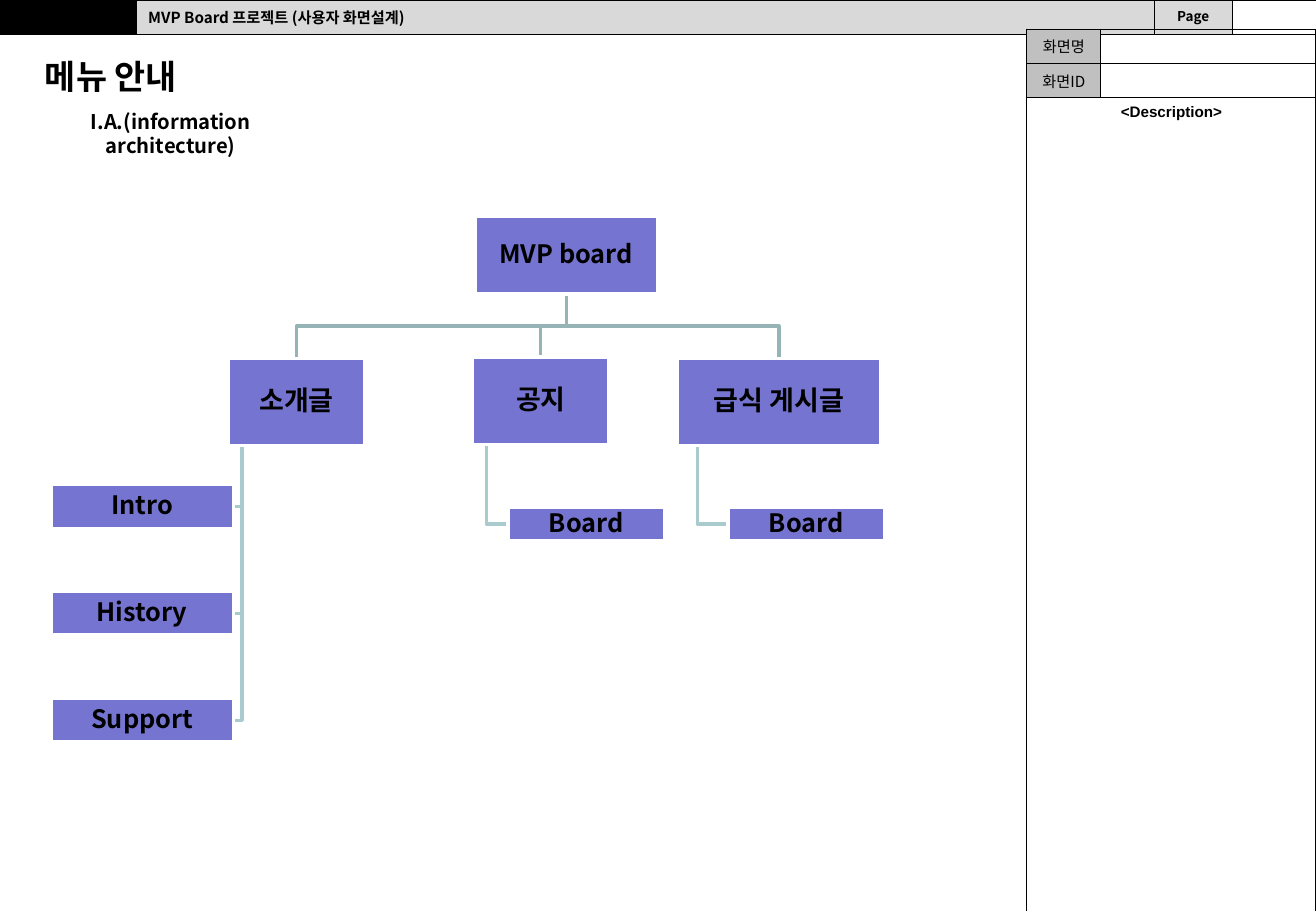
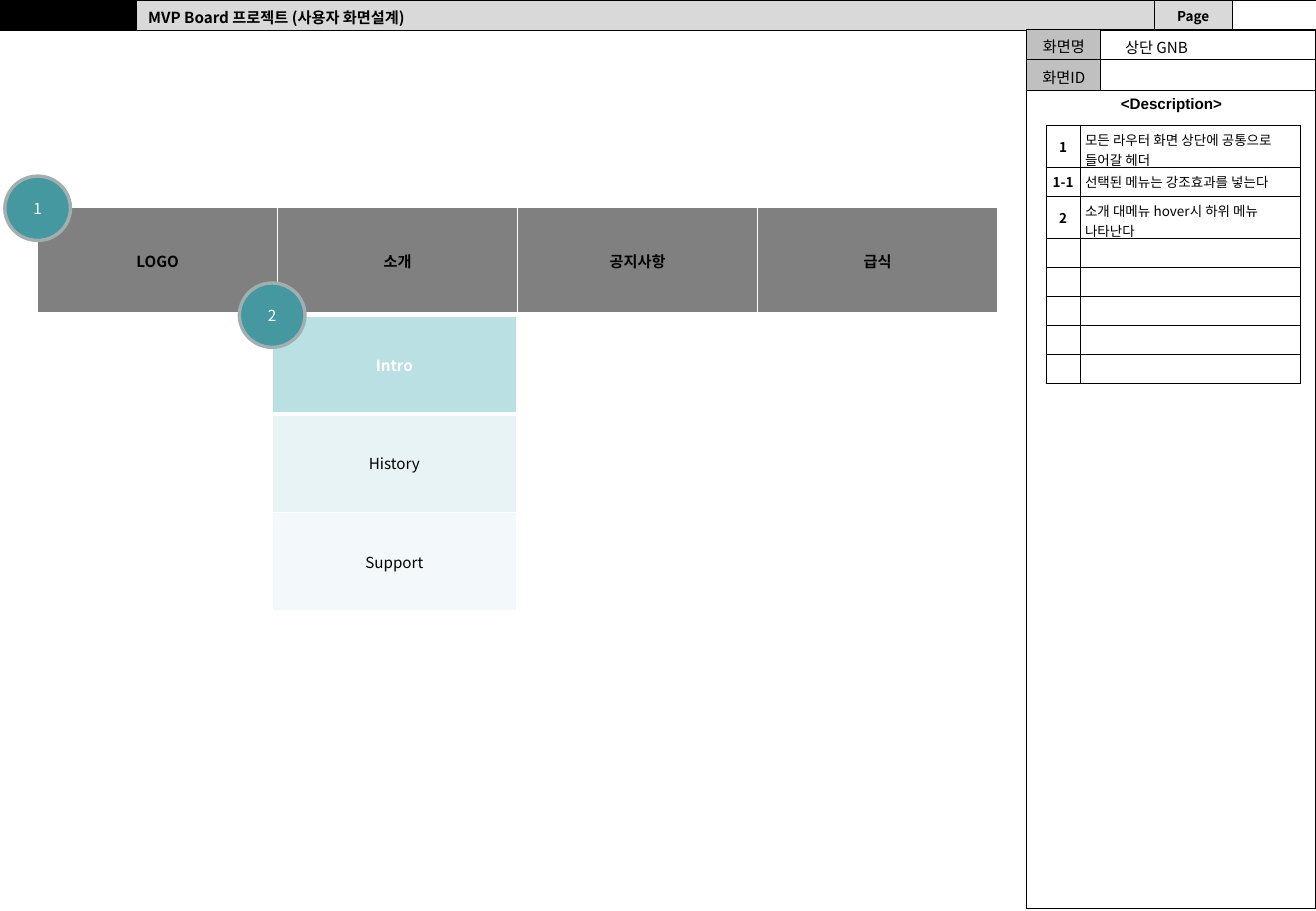
from dataclasses import dataclass

from pptx import Presentation
from pptx import util as u
from pptx.dml.color import RGBColor
from pptx.enum import shapes, text
from pptx.oxml import ns, xmlchemy

Inches, Pt = u.Inches, u.Pt
LEFT, CENTER = text.PP_ALIGN.LEFT, text.PP_ALIGN.CENTER
TOP, MIDDLE = text.MSO_ANCHOR.TOP, text.MSO_ANCHOR.MIDDLE
TITLE_ONLY, BLANK = 5, 6


@dataclass(frozen=True)
class Theme:
    """Colours, fonts and type sizes of the deck."""
    font: str = "Noto Sans CJK KR"
    label_font: str = "Arial"
    black: str = "000000"
    white: str = "FFFFFF"
    band: str = "D9D9D9"
    label: str = "C0C0C0"
    node: str = "7575D1"
    trunk: str = "96B3B6"
    branch: str = "AACBCE"
    nav: str = "808080"
    menu: tuple = ("BBE0E3", "E7F3F4", "F3F9FA")
    marker: str = "4597A0"
    marker_line: str = "A1AFB1"
    title: float = 20
    section: float = 16
    item: float = 15
    subtitle: float = 12
    body: float = 9
    small: float = 8


THEME = Theme()


def apply(target, values):
    """Set every attribute named in a dict of format values."""
    for name, value in values.items():
        setattr(target, name, value)


def add_xml(parent, tag, **attributes):
    """Append an XML child with the given attributes."""
    child = xmlchemy.OxmlElement(tag)
    for name, value in attributes.items():
        child.set(name, str(value))
    parent.append(child)
    return child


def write(frame, words, size=THEME.body, bold=False, color=THEME.black,
          align=LEFT, font=THEME.font, spacing=None):
    """Put one formatted paragraph into a text frame."""
    para = frame.paragraphs[0]
    apply(para, {"alignment": align, "line_spacing": spacing})
    if not words:
        add_xml(para._p, "a:endParaRPr", sz=int(size * 100))
        return
    span = para.add_run()
    span.text = words
    apply(span.font, {"size": Pt(size), "bold": bold, "name": font})
    span.font.color.rgb = RGBColor.from_string(color)
    add_xml(span._r.get_or_add_rPr(), "a:ea", typeface=font)


def place(shape, left, top, width, height):
    """Move and size a shape, in inches."""
    apply(shape, {"left": Inches(left), "top": Inches(top),
                  "width": Inches(width), "height": Inches(height)})


def add_text(page, bounds, words, wrap=True, **style):
    """Add a text box."""
    box = page.shapes.add_textbox(*map(Inches, bounds))
    box.text_frame.word_wrap = wrap
    write(box.text_frame, words, **style)


def add_title(page, bounds, words):
    """Move and format the title placeholder."""
    title = page.shapes.title
    place(title, *bounds)
    apply(title.text_frame, {"word_wrap": False, "vertical_anchor": TOP,
                             "auto_size": text.MSO_AUTO_SIZE.NONE})
    write(title.text_frame, words, size=THEME.title, bold=True)


def add_box(page, kind, bounds, words, fill, line, inset=None, **style):
    """Add a filled preset shape with centred text."""
    box = page.shapes.add_shape(kind, *map(Inches, bounds))
    box.shadow.inherit = False
    box.fill.solid()
    box.fill.fore_color.rgb = RGBColor.from_string(fill)
    box.line.color.rgb = RGBColor.from_string(line)
    box.line.width = Pt(2)
    frame = box.text_frame
    apply(frame, {"word_wrap": True, "vertical_anchor": MIDDLE})
    if inset is not None:
        sides = ("left", "right", "top", "bottom")
        apply(frame, {f"margin_{side}": Inches(inset) for side in sides})
    write(frame, words, align=CENTER, **style)


def add_path(page, points, color):
    """Draw an open line through points."""
    start, *rest = [tuple(map(Inches, point)) for point in points]
    builder = page.shapes.build_freeform(*start)
    builder.add_line_segments(rest, close=False)
    path_shape = builder.convert_to_shape()
    path_shape.shadow.inherit = False
    path_shape.fill.background()
    path_shape.line.color.rgb = RGBColor.from_string(color)
    path_shape.line.width = Pt(2)


def set_borders(cell, color, width, bottom=None):
    """Draw the four borders of a cell."""
    properties = cell._tc.get_or_add_tcPr()
    for side in "LRTB":
        points = bottom if side == "B" and bottom else width
        line = add_xml(properties, f"a:ln{side}", w=Pt(points))
        add_xml(add_xml(line, "a:solidFill"), "a:srgbClr", val=color)


def add_table(page, left, top, columns, rows, border):
    """Add a plain table with the given column widths and row heights."""
    bounds = (left, top, sum(columns), sum(rows))
    table = page.shapes.add_table(len(rows), len(columns),
                                  *map(Inches, bounds)).table
    apply(table, {"first_row": False, "horz_banding": False})
    for column, width in zip(table.columns, columns):
        column.width = Inches(width)
    for row, height in zip(table.rows, rows):
        row.height = Inches(height)
    for cell in table.iter_cells():
        set_borders(cell, *border)
        cell.fill.background()
    return table


def fill_cell(cell, words, fill=None, anchor=TOP, inset=None, **style):
    """Write and colour one table cell."""
    cell.vertical_anchor = anchor
    if inset is not None:
        sides = ("left", "right", "top", "bottom")
        apply(cell, {f"margin_{side}": Inches(inset) for side in sides})
    if fill:
        cell.fill.solid()
        cell.fill.fore_color.rgb = RGBColor.from_string(fill)
    write(cell.text_frame, words, **style)


def add_page(deck, layout):
    """Add a page with the shared header band and side panel."""
    page = deck.slides.add_slide(deck.slide_layouts[layout])
    header = add_table(page, 0, 0, (1.12, 8.38, 0.64, 0.69), (0.25,),
                       (THEME.black, 0.5))
    fill_cell(header.cell(0, 0), "", THEME.black)
    fill_cell(header.cell(0, 1), "MVP Board 프로젝트 (사용자 화면설계)",
              THEME.band, bold=True)
    fill_cell(header.cell(0, 2), "Page", THEME.band, size=THEME.small,
              bold=True, align=CENTER)
    fill_cell(header.cell(0, 3), "")

    panel = add_table(page, 8.45, 0.24, (0.61, 1.77), (0.25, 0.25, 6.74),
                      (THEME.black, 0.75))
    for row, words in enumerate(("화면명", "화면ID")):
        fill_cell(panel.cell(row, 0), words, THEME.label, align=CENTER)
        fill_cell(panel.cell(row, 1), "")
    panel.cell(2, 0).merge(panel.cell(2, 1))
    fill_cell(panel.cell(2, 0), "<Description>", bold=True, align=CENTER,
              font=THEME.label_font)
    return page


def link_down(page, parent, child):
    """Link the bottom of the parent to the top of the child."""
    start = parent[0] + parent[2] / 2
    end = child[0] + child[2] / 2
    bottom = parent[1] + parent[3]
    middle = (bottom + child[1]) / 2
    add_path(page, ((start, bottom), (start, middle), (end, middle),
                    (end, child[1])), THEME.trunk)


def link_side(page, parent, child):
    """Link a stem under the parent to the near side of the child."""
    stem = parent[0] + parent[2] / 10
    middle = child[1] + child[3] / 2
    edge = child[0] if child[0] > stem else child[0] + child[2]
    add_path(page, ((stem, parent[1] + parent[3]), (stem, middle),
                    (edge, middle)), THEME.branch)


def add_node(page, bounds, words, size=THEME.item):
    """Add one box of the menu tree."""
    add_box(page, shapes.MSO_SHAPE.RECTANGLE, bounds, words, THEME.node,
            THEME.white, inset=0.01, size=size, bold=True, spacing=0.9)


def add_menu_tree(page):
    """Draw the menu tree: links first, boxes over them."""
    root = (3.91, 1.78, 1.5, 0.64)
    sections = (
        ("소개글", (1.88, 2.95, 1.12, 0.72),
         [(words, (0.42, 3.99 + 0.88 * row, 1.5, 0.36))
          for row, words in enumerate(("Intro", "History", "Support"))]),
        ("공지", (3.89, 2.94, 1.12, 0.72),
         [("Board", (4.18, 4.18, 1.29, 0.27))]),
        ("급식 게시글", (5.57, 2.95, 1.68, 0.72),
         [("Board", (5.99, 4.18, 1.29, 0.27))]),
    )
    for _, section, items in sections:
        link_down(page, root, section)
        for _, item in items:
            link_side(page, section, item)
    add_node(page, root, "MVP board")
    for words, section, items in sections:
        add_node(page, section, words, THEME.section)
        for item_words, item in items:
            add_node(page, item, item_words)


def add_descriptions(page):
    """Add the numbered notes of the side panel."""
    notes = (("1", "모든 라우터 화면 상단에 공통으로 들어갈 헤더"),
             ("1-1", "선택된 메뉴는 강조효과를 넣는다"),
             ("2", "소개 대메뉴 hover시 하위 메뉴 나타난다")) + (("", ""),) * 5
    table = add_table(page, 8.61, 1.03, (0.28, 1.81), (0.24,) * len(notes),
                      (THEME.black, 0.75))
    style = {"fill": THEME.white, "inset": 0.04, "size": THEME.small}
    for row, (number, words) in enumerate(notes):
        fill_cell(table.cell(row, 0), number, anchor=MIDDLE, align=CENTER,
                  bold=True, **style)
        fill_cell(table.cell(row, 1), words, **style)


def add_navigation(page):
    """Add the top menu, its submenu and the number markers."""
    centred = {"anchor": MIDDLE, "align": CENTER}
    tabs = ("LOGO", "소개", "공지사항", "급식")
    bar = add_table(page, 0.31, 1.71, (7.9 / len(tabs),) * len(tabs), (0.88,),
                    (THEME.white, 1, 3))
    for column, words in enumerate(tabs):
        fill_cell(bar.cell(0, column), words, THEME.nav, bold=True, **centred)

    items = ("Intro", "History", "Support")
    menu = add_table(page, 2.24, 2.6, (2.01,), (0.81,) * len(items),
                     (THEME.white, 1))
    set_first = menu.cell(0, 0)._tc.tcPr.find(ns.qn("a:lnB"))
    set_first.set("w", str(Pt(3)))
    menu.cell(1, 0)._tc.tcPr.find(ns.qn("a:lnT")).set("w", str(Pt(3)))
    for row, (words, fill) in enumerate(zip(items, THEME.menu)):
        active = row == 0
        fill_cell(menu.cell(row, 0), words, fill, bold=active,
                  color=THEME.white if active else THEME.black, **centred)

    for words, left, top in (("2", 1.97, 2.33), ("1", 0.04, 1.45)):
        add_box(page, shapes.MSO_SHAPE.FLOWCHART_CONNECTOR,
                (left, top, 0.54, 0.53), words, THEME.marker,
                THEME.marker_line, color=THEME.white)


def main():
    """Build and save the deck."""
    deck = Presentation()
    apply(deck, {"slide_width": Inches(10.83), "slide_height": Inches(7.5)})

    page = add_page(deck, TITLE_ONLY)
    add_title(page, (0.27, 0.41, 1.42, 0.44), "메뉴 안내")
    add_text(page, (0.14, 0.85, 2.53, 0.3), "I.A.(information architecture)",
             size=THEME.subtitle, bold=True, align=CENTER)
    add_menu_tree(page)

    page = add_page(deck, BLANK)
    add_descriptions(page)
    add_navigation(page)
    add_text(page, (9.16, 0.27, 1.02, 0.25), "상단 GNB")

    deck.save("out.pptx")


main()
